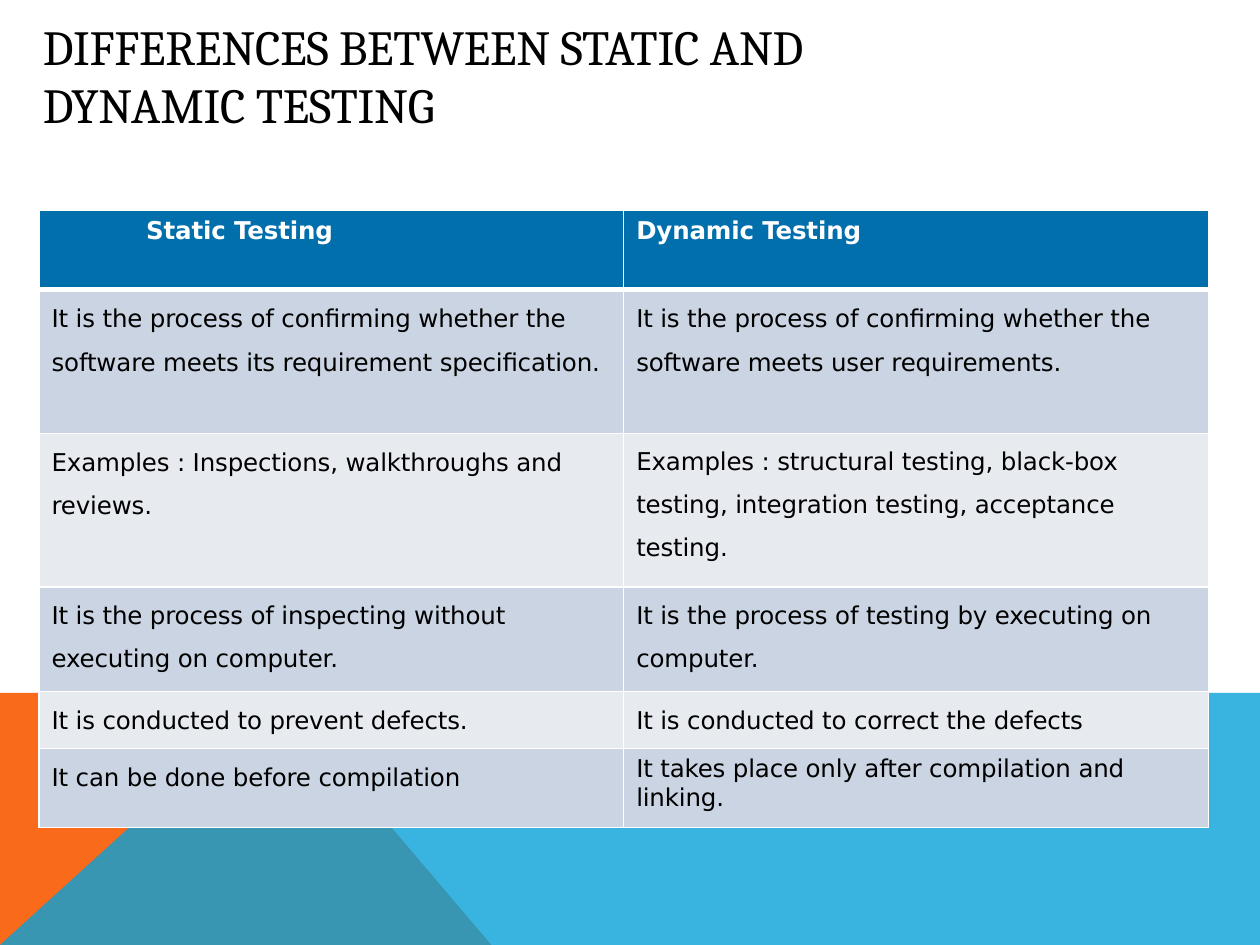
from dataclasses import dataclass

from lxml import etree
from pptx import Presentation
from pptx import util as u
from pptx.dml.color import RGBColor
from pptx.enum import text
from pptx.oxml import ns


@dataclass(frozen=True)
class Theme:
    orange: str = "F96A1B"
    sky: str = "08A1D9"
    header: str = "006FAC"
    bands: tuple[str, str] = ("CAD4E2", "E7EBF0")
    light: str = "FFFFFF"
    dark: str = "000000"
    title_font: str = "Cambria"
    body_font: str = "DejaVu Sans"
    title_size: float = 28
    body_size: float = 14


@dataclass(frozen=True)
class Entry:
    paras: tuple[str, ...]
    top: float = 1.2
    left: float = 1
    before: float = 8.7
    spacing: float = 1.0


@dataclass(frozen=True)
class Row:
    height: float
    static: Entry
    dynamic: Entry


@dataclass(frozen=True)
class Band:
    points: tuple[tuple[float, float], ...]
    color: str
    opacity: int = 100


THEME = Theme()
UNIT = u.Inches(0.1)
COLS, LINES = 100, 75
HORIZON = 55.2
COL_WIDTH = 46.4
NEXT_BEFORE = 8.4

BANDS = (
    Band(((0, LINES), (0, HORIZON), (22.3, HORIZON), (39.1, LINES)), THEME.orange),
    Band(((0, LINES), (22.3, HORIZON), (COLS, HORIZON), (COLS, LINES)), THEME.sky, 80),
)

ROWS = (
    Row(6.3, Entry(("Static Testing",), 0.5, 8.5, 3.5),
        Entry(("Dynamic Testing",), 0.5, before=3.5)),
    Row(11.4,
        Entry(("It is the process of confirming whether the",
               "software meets its requirement specification.")),
        Entry(("It is the process of confirming whether the",
               "software meets user requirements."))),
    Row(12.2,
        Entry(("Examples : Inspections, walkthroughs and", "reviews.")),
        Entry(("Examples : structural testing, black-box testing, "
               "integration testing, acceptance testing.",), 0, before=0.2, spacing=1.5)),
    Row(8.3,
        Entry(("It is the process of inspecting without executing on computer.",),
              0, before=0.2, spacing=1.5),
        Entry(("It is the process of testing by executing on computer.",),
              0, before=0.2, spacing=1.5)),
    Row(4.5, Entry(("It is conducted to prevent defects.",)),
        Entry(("It is conducted to correct the defects",))),
    Row(6.3, Entry(("It can be done before compilation",)),
        Entry(("It takes place only after compilation and linking.",), 0.5, before=3.7)),
)


def grid(n: float) -> int:
    return round(n * UNIT)


def style(p, font: str, size: float, color: str, bold: bool = False) -> None:
    for r in p.runs:
        r.font.name = font
        r.font.size = u.Pt(size)
        r.font.bold = bold
        r.font.color.rgb = RGBColor.from_string(color)
        r._r.get_or_add_rPr().set("spc", "-10")


def draw_band(s, band: Band) -> None:
    start, *rest = band.points
    builder = s.shapes.build_freeform(*start, scale=UNIT)
    builder.add_line_segments(rest, close=True)
    sp = builder.convert_to_shape()
    sp.shadow.inherit = False
    sp.line.fill.background()
    sp.fill.solid()
    sp.fill.fore_color.rgb = RGBColor.from_string(band.color)
    if band.opacity < 100:
        clr = sp._element.spPr.find(".//" + ns.qn("a:srgbClr"))
        etree.SubElement(clr, ns.qn("a:alpha"), val=str(band.opacity * 1000))


def draw_title(s, title: str) -> None:
    tf = s.shapes.add_textbox(grid(3.3), grid(4.1), grid(67.7), grid(3.6)).text_frame
    tf.word_wrap = True
    tf.auto_size = text.MSO_AUTO_SIZE.SHAPE_TO_FIT_TEXT
    tf.vertical_anchor = text.MSO_ANCHOR.MIDDLE
    tf.margin_left = tf.margin_top = grid(0.1)
    tf.margin_right = tf.margin_bottom = 0
    p = tf.paragraphs[0]
    p.text = title
    p.space_before = u.Pt(0.9)
    style(p, THEME.title_font, THEME.title_size, THEME.dark)


def draw_borders(cell, widths: dict[str, float]) -> None:
    tc_pr = cell._tc.get_or_add_tcPr()
    for side, width in widths.items():
        ln = etree.SubElement(tc_pr, ns.qn(f"a:ln{side}"), w=str(u.Pt(width)))
        fill = etree.SubElement(ln, ns.qn("a:solidFill"))
        etree.SubElement(fill, ns.qn("a:srgbClr"), val=THEME.light)


def fill_cell(cell, entry: Entry, row: int) -> None:
    is_header = row == 0
    draw_borders(cell, {"L": 1, "R": 1, "T": 3 if row == 1 else 1, "B": 3 if is_header else 1})
    color = THEME.header if is_header else THEME.bands[(row - 1) % 2]
    cell.fill.solid()
    cell.fill.fore_color.rgb = RGBColor.from_string(color)
    cell.margin_left, cell.margin_top = grid(entry.left), grid(entry.top)
    cell.margin_right = cell.margin_bottom = 0
    tf = cell.text_frame
    tf.text = "\n".join(entry.paras)
    for i, p in enumerate(tf.paragraphs):
        p.space_before = u.Pt(NEXT_BEFORE if i else entry.before)
        p.line_spacing = entry.spacing
        style(p, THEME.body_font, THEME.body_size,
              THEME.light if is_header else THEME.dark, is_header)


def draw_table(s, rows: tuple[Row, ...]) -> None:
    height = sum(row.height for row in rows)
    table = s.shapes.add_table(len(rows), 2, grid(3.1), grid(16.7),
                               grid(2 * COL_WIDTH), grid(height)).table
    table.first_row = table.horz_banding = False
    for i, row in enumerate(rows):
        table.rows[i].height = grid(row.height)
        for j, entry in enumerate((row.static, row.dynamic)):
            fill_cell(table.cell(i, j), entry, i)


def main() -> None:
    prs = Presentation()
    prs.slide_width, prs.slide_height = grid(COLS), grid(LINES)
    s = prs.slides.add_slide(prs.slide_layouts[6])
    for band in BANDS:
        draw_band(s, band)
    draw_title(s, "DIFFERENCES BETWEEN STATIC AND DYNAMIC TESTING")
    draw_table(s, ROWS)
    prs.save("out.pptx")


if __name__ == "__main__":
    main()
